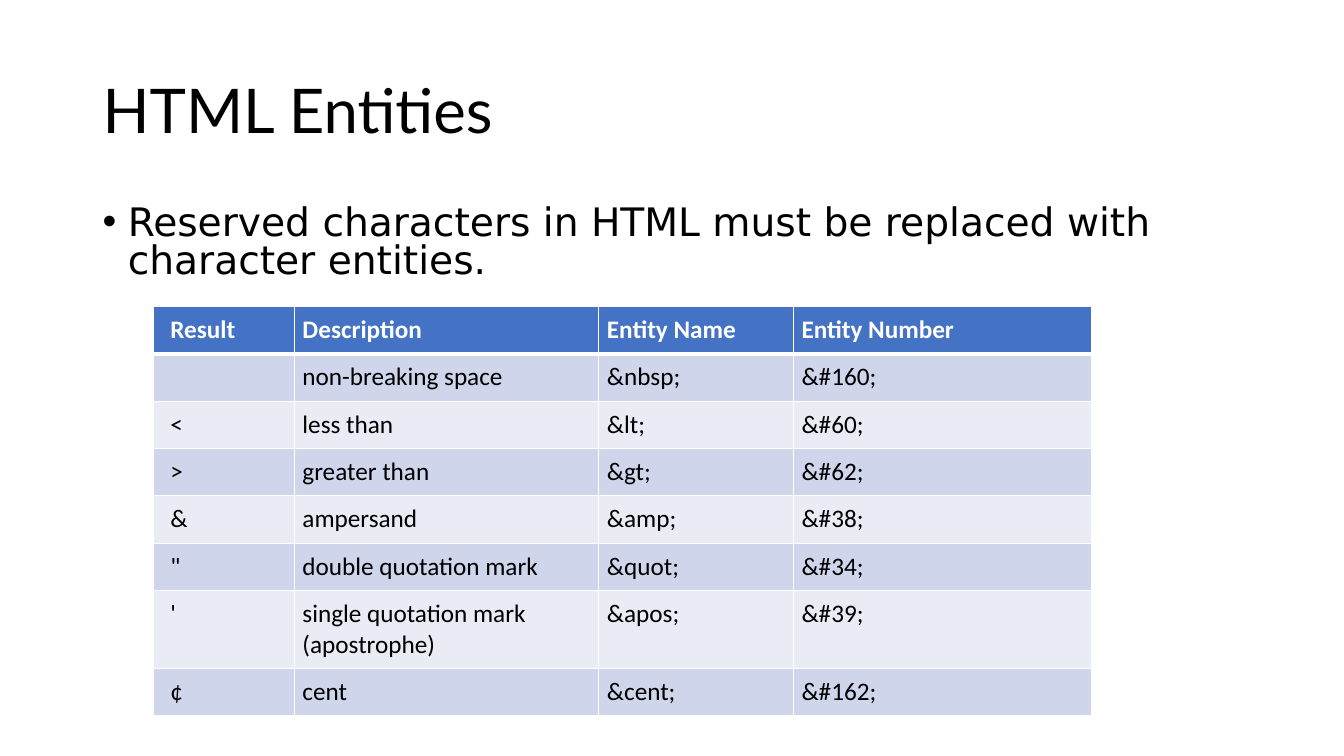
from typing import NamedTuple

from lxml.etree import SubElement
from pptx import Presentation
from pptx.dml.color import RGBColor
from pptx.enum.text import MSO_ANCHOR
from pptx.oxml import parse_xml
from pptx.oxml.ns import nsdecls, qn
from pptx.util import Inches, Pt

BLACK = RGBColor(0x00, 0x00, 0x00)
WHITE = RGBColor(0xFF, 0xFF, 0xFF)
BLUE = RGBColor(0x44, 0x72, 0xC4)
DARK = RGBColor(0xCF, 0xD5, 0xEA)
LIGHT = RGBColor(0xE9, 0xEB, 0xF5)


class Entry(NamedTuple):
    result: str
    detail: str
    name: str
    number: str
    height: float = 0.47


HEAD = Entry("Result", "Description", "Entity Name", "Entity Number")
ENTRIES = [
    Entry("", "non-breaking space", "&nbsp;", "&#160;"),
    Entry("<", "less than", "&lt;", "&#60;"),
    Entry(">", "greater than", "&gt;", "&#62;"),
    Entry("&", "ampersand", "&amp;", "&#38;"),
    Entry('"', "double quotation mark", "&quot;", "&#34;"),
    Entry("'", "single quotation mark (apostrophe)", "&apos;", "&#39;", 0.77),
    Entry("¢", "cent", "&cent;", "&#162;"),
]
WIDTHS = [1.4, 3.02, 1.93, 2.96]


def write(frame, text: str, *, font="Calibri", size=18, color=BLACK,
          bold=False, spacing=1.0, before=0, bullet=False) -> None:
    para = frame.paragraphs[0]
    para.line_spacing = spacing
    para.space_before = Pt(before)
    if bullet:
        props = para._p.get_or_add_pPr()
        props.set("marL", str(Inches(0.25)))
        props.set("indent", str(-Inches(0.25)))
        SubElement(props, qn("a:buFont"), typeface="Arial")
        SubElement(props, qn("a:buChar"), char="•")
    style = para.font
    if text:
        run = para.add_run()
        run.text = text
        style = run.font
    style.name = font
    style.size = Pt(size)
    style.bold = bold
    style.color.rgb = color


def add_box(slide, top: float, height: float, anchor: MSO_ANCHOR):
    box = slide.shapes.add_textbox(
        Inches(0.92), Inches(top), Inches(11.5), Inches(height))
    box.text_frame.word_wrap = True
    box.text_frame.vertical_anchor = anchor
    return box.text_frame


def edge(cell, side: str, width: float) -> None:
    line = parse_xml(
        f'<a:ln{side} {nsdecls("a")} w="{Pt(width)}"><a:solidFill>'
        f'<a:srgbClr val="{WHITE}"/></a:solidFill></a:ln{side}>')
    props = cell._tc.get_or_add_tcPr()
    props.insert("LRTB".index(side), line)


def add_table(slide, rows: list[Entry]) -> None:
    table = slide.shapes.add_table(
        len(rows), len(WIDTHS), Inches(1.52), Inches(3.04),
        Inches(sum(WIDTHS)), Inches(sum(row.height for row in rows))).table
    for column, width in zip(table.columns, WIDTHS):
        column.width = Inches(width)
    for i, row in enumerate(rows):
        table.rows[i].height = Inches(row.height)
        top = i == 0
        fill = BLUE if top else DARK if i % 2 else LIGHT
        for j, text in enumerate(row[:len(WIDTHS)]):
            cell = table.cell(i, j)
            cell.margin_left = Inches(0.08 if j else 0.17)
            cell.margin_right = Inches(0.08)
            cell.margin_top = cell.margin_bottom = Inches(0.08)
            cell.fill.solid()
            cell.fill.fore_color.rgb = fill
            for side in "LRTB":
                thick = (top and side == "B") or (i == 1 and side == "T")
                edge(cell, side, 3 if thick else 1)
            write(cell.text_frame, text, bold=top,
                  color=WHITE if top else BLACK)


def main() -> None:
    deck = Presentation()
    deck.slide_width = Inches(13.33)
    deck.slide_height = Inches(7.5)
    slide = deck.slides.add_slide(deck.slide_layouts[6])
    write(add_box(slide, 0.4, 1.45, MSO_ANCHOR.MIDDLE), "HTML\u00a0Entities",
          font="Lato", size=44, spacing=0.9)
    write(add_box(slide, 2, 0.89, MSO_ANCHOR.TOP),
          "Reserved characters in HTML must be replaced with "
          "character entities.",
          font="DejaVu Sans", size=28, spacing=0.8, before=10, bullet=True)
    add_table(slide, [HEAD, *ENTRIES])
    deck.save("out.pptx")


main()
